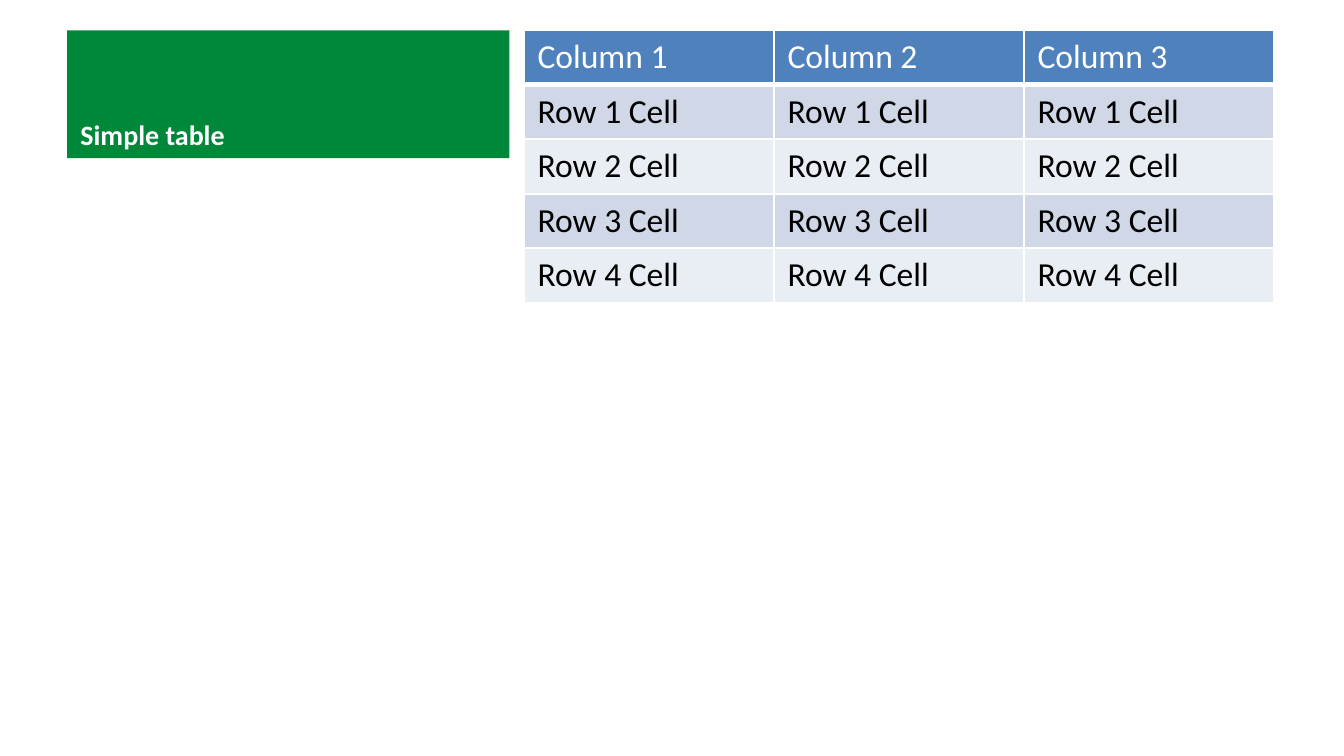
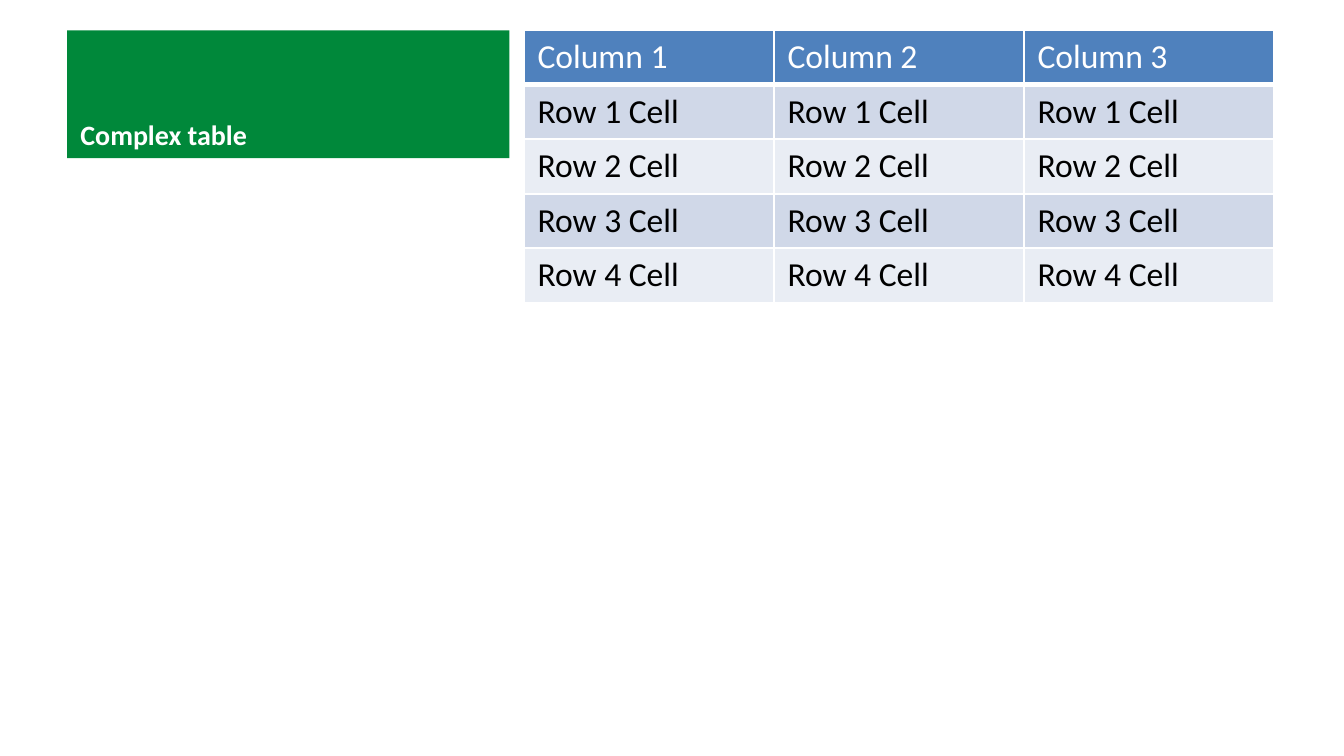
from pptx import Presentation
from pptx.dml.color import RGBColor
from pptx.enum.shapes import MSO_SHAPE as Shape
from pptx.enum.text import MSO_ANCHOR as Anchor, PP_ALIGN as Align
from pptx.oxml.ns import qn
from pptx.util import Inches, Pt
from lxml.etree import SubElement

COLORS = {
    "title": "00883A",
    "header": "4F81BD",
    "odd": "D0D8E8",
    "even": "E9EDF4",
    "white": "FFFFFF",
    "black": "000000",
}
FONT = "Calibri"
GRID = 100  # columns and rows per slide

HEADINGS = [f"Column {c}" for c in range(1, 4)]
ROWS = [HEADINGS] + [[f"Row {r} Cell"] * len(HEADINGS) for r in range(1, 5)]


def rgb(name):
    return RGBColor.from_string(COLORS[name])


def write(tf, text, size=18, color="black", bold=False):
    p = tf.paragraphs[0]
    p.alignment = Align.LEFT
    r = p.add_run()
    r.text = text
    r.font.name, r.font.size, r.font.bold = FONT, Pt(size), bold
    r.font.color.rgb = rgb(color)


def fill(target, color):
    target.fill.solid()
    target.fill.fore_color.rgb = rgb(color)


def set_borders(cell, color="white", width=1, bottom=1):
    """Draw the four cell borders; lines must precede the fill in the XML."""
    tc_pr = cell._tc.get_or_add_tcPr()
    for side, points in zip("LRTB", (width, width, width, bottom)):
        ln = SubElement(tc_pr, qn(f"a:ln{side}"), w=str(Pt(points)))
        paint = SubElement(ln, qn("a:solidFill"))
        SubElement(paint, qn("a:srgbClr"), val=COLORS[color])


class Deck:
    def __init__(self):
        self.prs = Presentation()
        self.prs.slide_width = Inches(10)
        self.prs.slide_height = Inches(10) * 9 // 16
        self.s = None

    def x(self, columns):
        return round(self.prs.slide_width * columns / GRID)

    def y(self, rows):
        return round(self.prs.slide_height * rows / GRID)

    def box(self, left, top, width, height):
        return self.x(left), self.y(top), self.x(width), self.y(height)

    def add_slide(self):
        self.s = self.prs.slides.add_slide(self.prs.slide_layouts[6])
        fill(self.s.background, "white")

    def title(self, text):
        sp = self.s.shapes.add_shape(Shape.ROUNDED_RECTANGLE, *self.box(5, 4, 32.9, 16.9))
        sp.adjustments[0] = 0
        sp.shadow.inherit = False
        fill(sp, "title")
        sp.line.fill.background()
        tf = sp.text_frame
        tf.word_wrap = True
        tf.vertical_anchor = Anchor.BOTTOM
        write(tf, text, size=15, color="white", bold=True)

    def table(self, rows, row_height=7.2):
        place = self.box(39, 4, 55.8, row_height * len(rows))
        table = self.s.shapes.add_table(len(rows), len(rows[0]), *place).table
        for i, row in enumerate(rows):
            header = i == 0
            band = "header" if header else ("even", "odd")[i % 2]
            for j, text in enumerate(row):
                cell = table.cell(i, j)
                set_borders(cell, bottom=3 if header else 1)
                fill(cell, band)
                write(cell.text_frame, text, color="white" if header else "black")


def main():
    deck = Deck()
    for title in ("Simple table", "Complex table"):
        deck.add_slide()
        deck.title(title)
        deck.table(ROWS)
    deck.prs.save("out.pptx")


if __name__ == "__main__":
    main()
